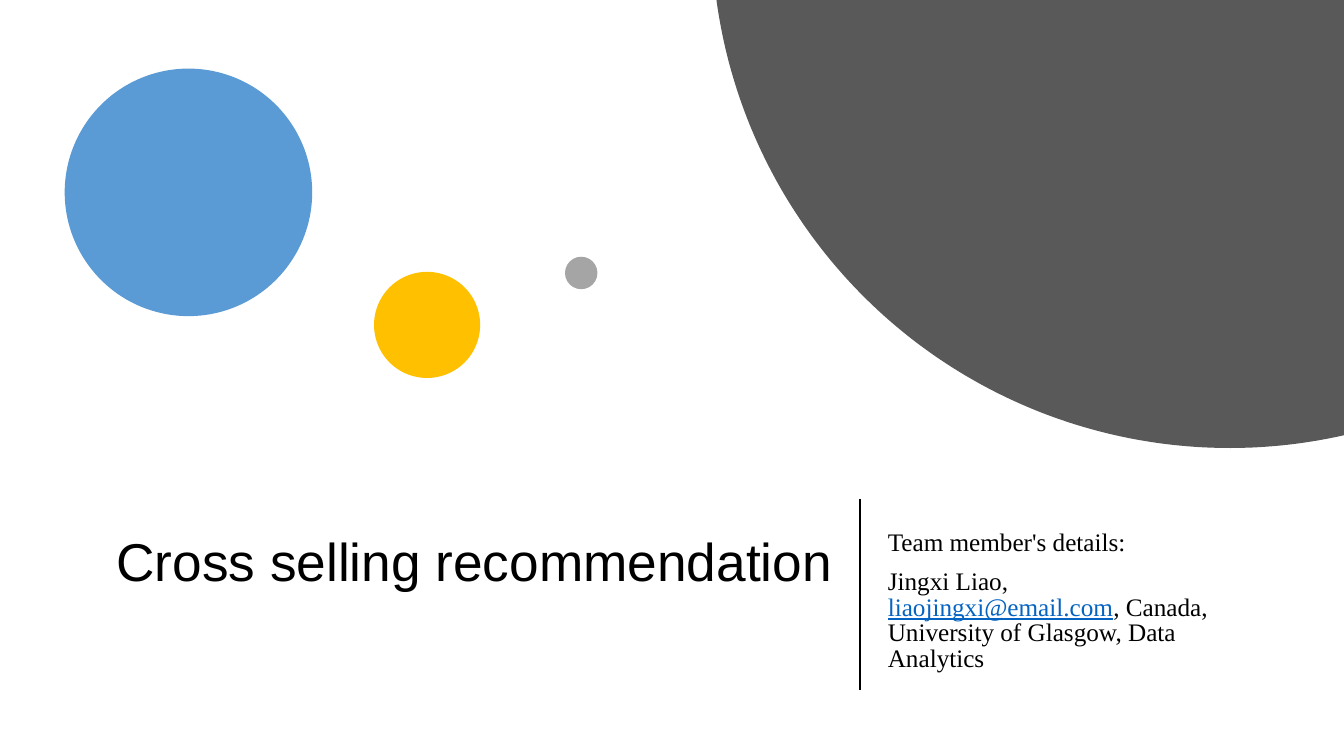
import math
from pptx import Presentation, util as u
from pptx.dml import color
from pptx.enum import shapes, text
from pptx.oxml import ns
from lxml import etree

Pt = u.Pt
INK = {"black": "000000", "blue": "5B9BD5", "gold": "FFC000",
       "gray": "A5A5A5", "dark": "595959", "link": "0563C1"}
WIDE, HIGH = 960, 540
TOP, TALL = 356.4, 136.8
RULE = 614.2

TITLE = [[("Cross selling recommendation", "black")]]
TEAM = [
    [("Team member's details:", "black")],
    [("Jingxi Liao, ", "black"), ("liaojingxi@email.com", "link"),
     (", Canada, University of Glasgow, Data Analytics", "black")],
]
DOTS = [(46.2, 49, 176.8, "blue"), (267.2, 194.2, 75.8, "gold"),
        (403.6, 183.4, 23.2, "gray")]
DISC = (878.4, -50, 370)

deck = Presentation()
deck.slide_width, deck.slide_height = Pt(WIDE), Pt(HIGH)
page = deck.slides.add_slide(deck.slide_layouts[6])


def tint(name):
    return color.RGBColor.from_string(INK[name])


def paint(shape, name):
    shape.shadow.inherit = False
    shape.fill.solid()
    shape.fill.fore_color.rgb = tint(name)
    shape.line.fill.background()


def write(left, width, paras, font, size, lead, align, above=0, below=0):
    frame = page.shapes.add_textbox(
        Pt(left), Pt(TOP), Pt(width), Pt(TALL)).text_frame
    frame.word_wrap = True
    frame.vertical_anchor = text.MSO_ANCHOR.MIDDLE
    frame.margin_top, frame.margin_bottom = Pt(3.6 + above), Pt(3.6 + below)
    for i, parts in enumerate(paras):
        para = frame.add_paragraph() if i else frame.paragraphs[0]
        para.alignment = align
        para.line_spacing = lead
        para.space_before = Pt(10 if i else 0)
        for words, name in parts:
            run = para.add_run()
            run.text = words
            run.font.name, run.font.size = font, Pt(size)
            run.font.color.rgb = tint(name)
            run.font.underline = name == "link"


write(66.2, 535.7, TITLE, "Arial", 38, 0.9, text.PP_ALIGN.RIGHT, below=43.2)
write(627.1, 256.3, TEAM, "Times New Roman", 18, 0.84,
      text.PP_ALIGN.LEFT, above=9.8)

for left, top, size, name in DOTS:
    dot = page.shapes.add_shape(
        shapes.MSO_SHAPE.OVAL, Pt(left), Pt(top), Pt(size), Pt(size))
    paint(dot, name)

midx, midy, rad = DISC
first = math.acos((WIDE - midx) / rad)
last = math.pi - math.asin(-midy / rad)
steps = 120
arc = []
for i in range(steps + 1):
    turn = first + (last - first) * i / steps
    arc.append((Pt(midx + rad * math.cos(turn)),
                Pt(midy + rad * math.sin(turn))))
pen = page.shapes.build_freeform(Pt(WIDE), 0)
pen.add_line_segments(arc, close=True)
paint(pen.convert_to_shape(), "dark")

rule = page.shapes.add_connector(
    shapes.MSO_CONNECTOR.STRAIGHT, Pt(RULE), Pt(TOP), Pt(RULE), Pt(TOP + TALL))
rule.line.color.rgb = tint("black")
rule.line.width = Pt(1.5)
etree.SubElement(rule._element.spPr, ns.qn("a:effectLst"))

deck.save("out.pptx")
